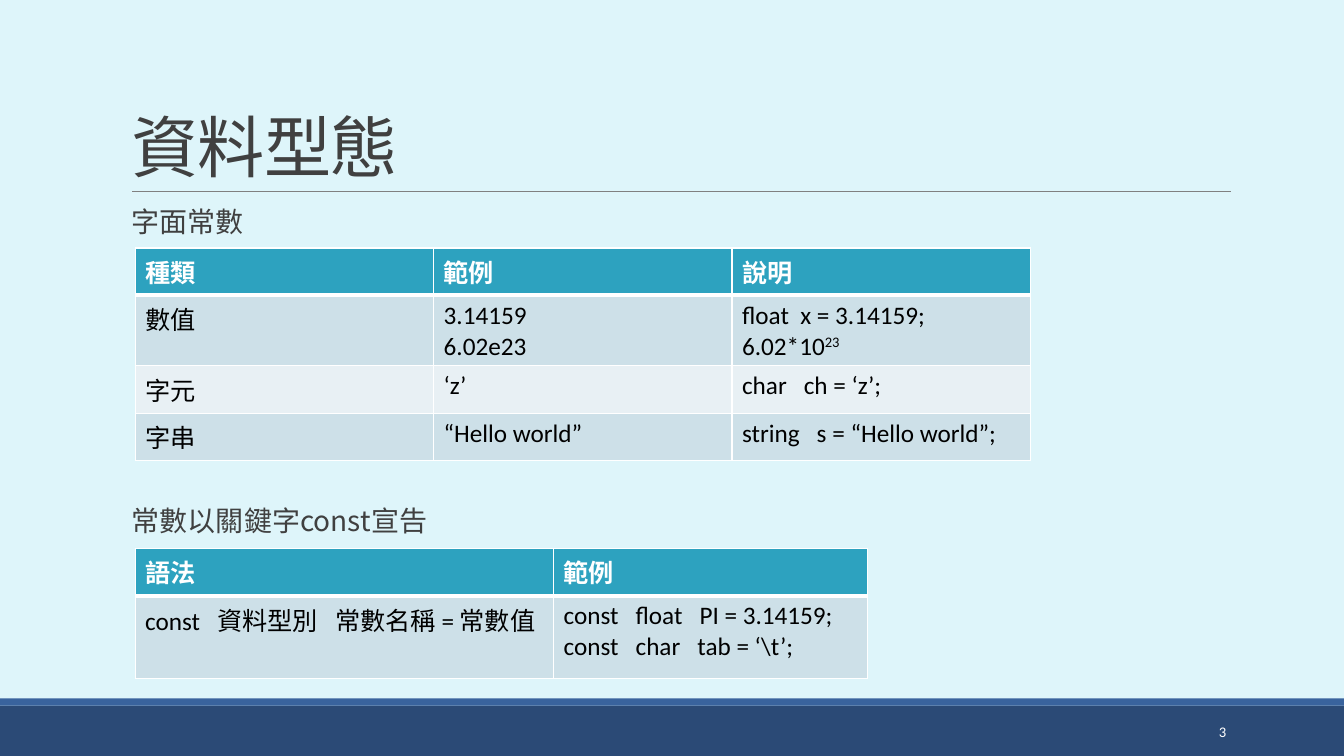
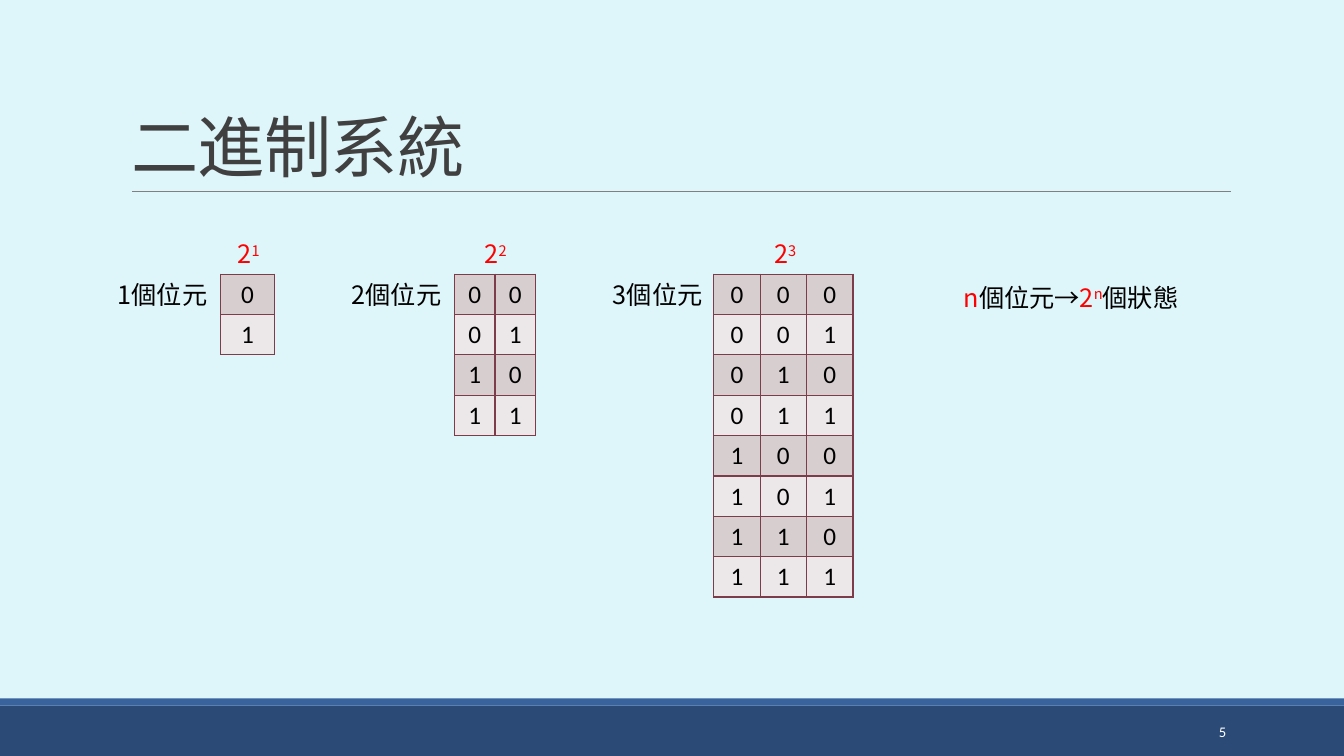
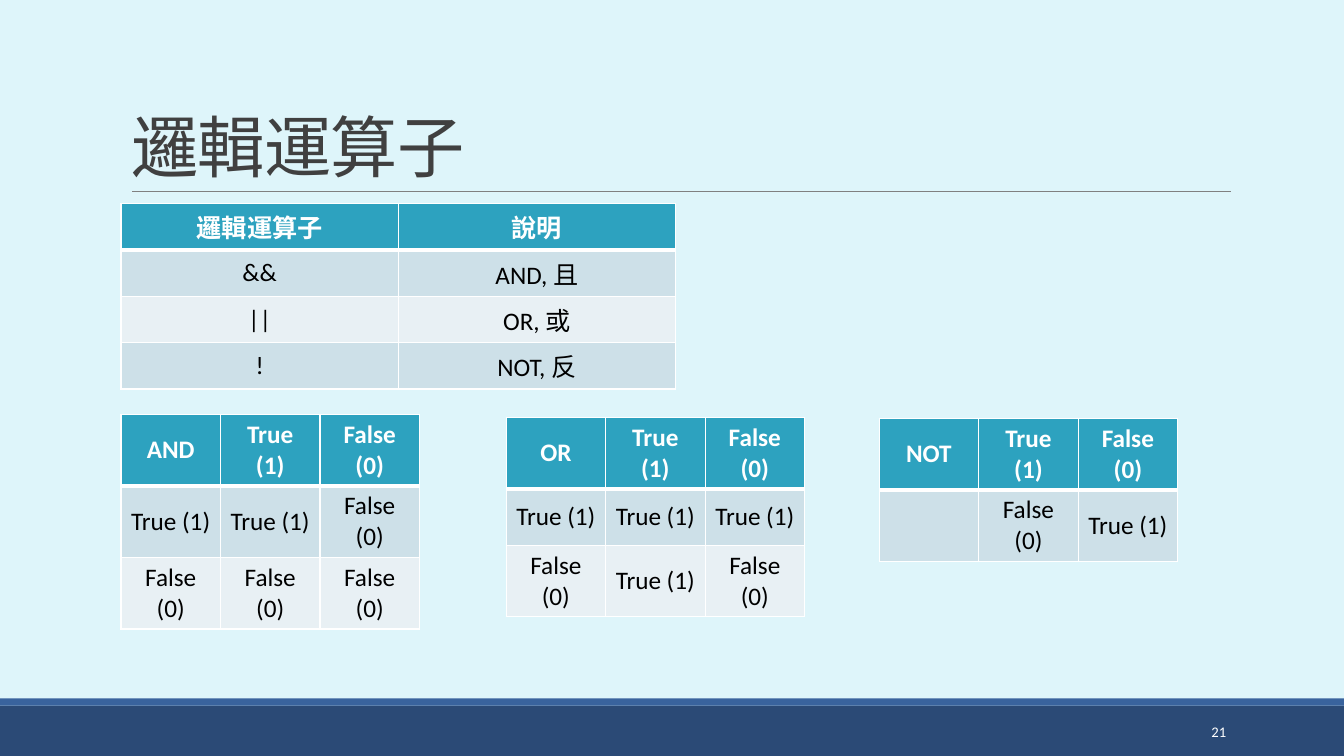
import dataclasses
import itertools

import pptx
import pptx.dml.color
import pptx.enum.shapes
import pptx.enum.text
import pptx.oxml.ns
import pptx.util
from lxml import etree

Inches = pptx.util.Inches
Pt = pptx.util.Pt
ALIGN = pptx.enum.text.PP_ALIGN
ANCHOR = pptx.enum.text.MSO_ANCHOR
qn = pptx.oxml.ns.qn


@dataclasses.dataclass(frozen=True)
class Theme:
    # Colours
    background: str = "DEF5FA"
    band: str = "2B4A76"
    band_edge: str = "39639D"
    rule: str = "808080"
    heading: str = "404040"
    text: str = "000000"
    accent: str = "FF0000"
    white: str = "FFFFFF"
    header_fill: str = "2DA2BF"
    row_fills: tuple = ("CDE0E8", "E8F0F4")
    bit_fills: tuple = ("D7CED0", "ECE8E9")
    bit_border: str = "7D3C4A"
    # Fonts and type sizes
    heading_font: str = "Noto Sans CJK SC"
    label_font: str = "Noto Sans CJK JP"
    table_font: str = "Calibri"
    title_size: float = 48
    heading_size: float = 20
    text_size: float = 18
    number_size: float = 10.5
    label_line: float = 21.5


THEME = Theme()


@dataclasses.dataclass(frozen=True)
class Run:
    text: str
    color: str = ""
    raised: bool = False


def rgb(color):
    return pptx.dml.color.RGBColor.from_string(color)


# Text
def add_runs(paragraph, line, size, font, color, bold=False):
    """Add a line, given as a string or as a list of Run."""
    runs = [Run(line)] if isinstance(line, str) else line
    for item in runs:
        run = paragraph.add_run()
        run.text = item.text
        run.font.size = Pt(size)
        run.font.bold = bold
        run.font.color.rgb = rgb(item.color or color)
        run.font.name = font
        properties = run._r.get_or_add_rPr()
        east_asian = THEME.heading_font if font == THEME.table_font else font
        etree.SubElement(properties, qn("a:ea"), typeface=east_asian)
        if item.raised:
            properties.set("baseline", "30000")


def add_text(slide, left, top, width, height, line, size, font, color):
    box = slide.shapes.add_textbox(Inches(left), Inches(top), Inches(width), Inches(height))
    box.text_frame.word_wrap = True
    paragraph = box.text_frame.paragraphs[0]
    add_runs(paragraph, line, size, font, color)
    return box.text_frame, paragraph


def add_heading(slide, top, text):
    paragraph = add_text(slide, 1.21, top, 11, 0.45, text, THEME.heading_size,
                         THEME.heading_font, THEME.heading)[1]
    paragraph.line_spacing = 0.9


def add_label(slide, left, top, width, line, color=THEME.text):
    paragraph = add_text(slide, left, top, width, 0.4, line, THEME.text_size,
                         THEME.label_font, color)[1]
    paragraph.line_spacing = Pt(THEME.label_line)


# Slide frame: bands, rule, title and number
def add_band(slide, top, height, color):
    band = slide.shapes.add_shape(pptx.enum.shapes.MSO_SHAPE.RECTANGLE,
                                  0, Inches(top), Inches(13.33), Inches(height))
    band.shadow.inherit = False
    band.fill.solid()
    band.fill.fore_color.rgb = rgb(color)
    band.line.fill.background()


def add_rule(slide):
    rule = slide.shapes.add_connector(pptx.enum.shapes.MSO_CONNECTOR.STRAIGHT,
                                      Inches(1.31), Inches(1.9), Inches(12.21), Inches(1.9))
    rule.line.color.rgb = rgb(THEME.rule)
    rule.line.width = Pt(0.5)
    etree.SubElement(rule._element.spPr, qn("a:effectLst"))


def format_title(title, text):
    title.left, title.top = Inches(1.2), Inches(0.31)
    title.width, title.height = Inches(11), Inches(1.59)
    title.text_frame.vertical_anchor = ANCHOR.BOTTOM
    paragraph = title.text_frame.paragraphs[0]
    paragraph.alignment = ALIGN.LEFT
    paragraph.line_spacing = 0.85
    add_runs(paragraph, text, THEME.title_size, THEME.heading_font, THEME.heading)
    paragraph.runs[0]._r.get_or_add_rPr().set("spc", "-50")


def add_slide(presentation, title, number):
    slide = presentation.slides.add_slide(presentation.slide_layouts[5])
    add_band(slide, 7, 0.5, THEME.band)
    add_band(slide, 6.93, 0.07, THEME.band_edge)
    add_rule(slide)
    format_title(slide.shapes.title, title)
    frame, paragraph = add_text(slide, 10.83, 7.06, 1.43, 0.4, str(number),
                                THEME.number_size, THEME.table_font, THEME.white)
    frame.vertical_anchor = ANCHOR.MIDDLE
    paragraph.alignment = ALIGN.RIGHT
    return slide


# Tables
def set_borders(cell, color, top=1, bottom=1):
    properties = cell._tc.get_or_add_tcPr()
    sides = (("L", 1), ("R", 1), ("T", top), ("B", bottom))
    for index, (side, width) in enumerate(sides):
        line = etree.Element(qn(f"a:ln{side}"), w=str(Pt(width)))
        fill = etree.SubElement(line, qn("a:solidFill"))
        etree.SubElement(fill, qn("a:srgbClr"), val=color)
        properties.insert(index, line)


def fill_cell(cell, lines, fill, color, bold, centred):
    cell.fill.solid()
    cell.fill.fore_color.rgb = rgb(fill)
    if centred:
        cell.vertical_anchor = ANCHOR.MIDDLE
    for index, line in enumerate(lines):
        frame = cell.text_frame
        paragraph = frame.add_paragraph() if index else frame.paragraphs[0]
        if centred:
            paragraph.alignment = ALIGN.CENTER
        if line:
            add_runs(paragraph, line, THEME.text_size, THEME.table_font, color, bold)


def add_table(slide, left, top, widths, heights, rows, header=True, centred=True,
              fills=THEME.row_fills, border=THEME.white):
    """Each cell is a string, or a list of lines."""
    table = slide.shapes.add_table(len(rows), len(widths), Inches(left), Inches(top),
                                   Inches(sum(widths)), Inches(sum(heights))).table
    table.first_row = header
    table.horz_banding = False
    for column, width in zip(table.columns, widths):
        column.width = Inches(width)
    for row_index, (row, height) in enumerate(zip(rows, heights)):
        table.rows[row_index].height = Inches(height)
        is_header = header and row_index == 0
        band = fills[(row_index - header) % 2]
        for column_index, content in enumerate(row):
            cell = table.cell(row_index, column_index)
            lines = [content] if isinstance(content, str) else content
            fill_cell(cell, lines, THEME.header_fill if is_header else band,
                      THEME.white if is_header else THEME.text, is_header, centred)
            set_borders(cell, border, top=3 if header and row_index == 1 else 1,
                        bottom=3 if is_header else 1)


# Slides
def build_data_types(presentation):
    slide = add_slide(presentation, "資料型態", 3)
    add_heading(slide, 2.02, "字面常數")
    add_table(slide, 1.34, 2.46, [2.96] * 3, [0.47, 0.7, 0.47, 0.47], [
        ["種類", "範例", "說明"],
        ["數值", ["3.14159", "6.02e23"],
         ["float  x = 3.14159;", [Run("6.02*10"), Run("23", raised=True)]]],
        ["字元", "‘z’", "char   ch = ‘z’;"],
        ["字串", "“Hello world”", "string   s = “Hello world”;"],
    ], centred=False)
    add_heading(slide, 4.98, "常數以關鍵字const宣告")
    add_table(slide, 1.34, 5.44, [4.15, 3.11], [0.47, 0.82], [
        ["語法", "範例"],
        ["const   資料型別   常數名稱 = 常數值",
         ["const   float   PI = 3.14159;", "const   char   tab = ‘\\t’;"]],
    ], centred=False)


def build_binary_system(presentation):
    slide = add_slide(presentation, "二進制系統", 5)
    # Bits, then left of label, table and power, then column width
    groups = [
        (1, 1.07, 2.19, 2.26, 0.53),
        (2, 3.39, 4.51, 4.71, 0.4),
        (3, 5.98, 7.08, 7.58, 0.46),
    ]
    for bits, label_left, table_left, power_left, width in groups:
        states = list(itertools.product("01", repeat=bits))
        add_label(slide, label_left, 2.72, 1.09, f"{bits}個位元")
        add_label(slide, power_left, 2.32, 0.5,
                  [Run("2"), Run(str(bits), raised=True)], THEME.accent)
        add_table(slide, table_left, 2.72, [width] * bits, [0.4] * len(states), states,
                  header=False, fills=THEME.bit_fills, border=THEME.bit_border)
    add_label(slide, 9.46, 2.75, 2.34, [
        Run("n", THEME.accent), Run("個位元→"), Run("2", THEME.accent),
        Run("n", THEME.accent, raised=True), Run("個狀態"),
    ])


def build_logical_operators(presentation):
    slide = add_slide(presentation, "邏輯運算子", 21)
    add_table(slide, 1.2, 2.02, [2.75] * 2, [0.46] * 4, [
        ["邏輯運算子", "說明"],
        ["&&", "AND, 且"],
        ["||", "OR, 或"],
        ["!", "NOT, 反"],
    ])
    true, false = "True (1)", "False (0)"
    one_line, two_lines = 0.56, 0.71
    truth_tables = [
        (1.2, 4.11, "AND", [[true, true, false], [false, false, false]]),
        (5.02, 4.14, "OR", [[true, true, true], [false, true, false]]),
        (8.72, 4.15, "NOT", [["", false, true]]),
    ]
    for left, top, operator, rows in truth_tables:
        # "False (0)" wraps to a second line in these columns, "True (1)" does not
        heights = [two_lines if false in row else one_line for row in rows]
        add_table(slide, left, top, [2.96 / 3] * 3, [two_lines, *heights],
                  [[operator, true, false], *rows])


def main():
    presentation = pptx.Presentation()
    presentation.slide_width = Inches(13.33)
    presentation.slide_height = Inches(7.5)
    background = presentation.slide_master.background.fill
    background.solid()
    background.fore_color.rgb = rgb(THEME.background)
    build_data_types(presentation)
    build_binary_system(presentation)
    build_logical_operators(presentation)
    presentation.save("out.pptx")


if __name__ == "__main__":
    main()
